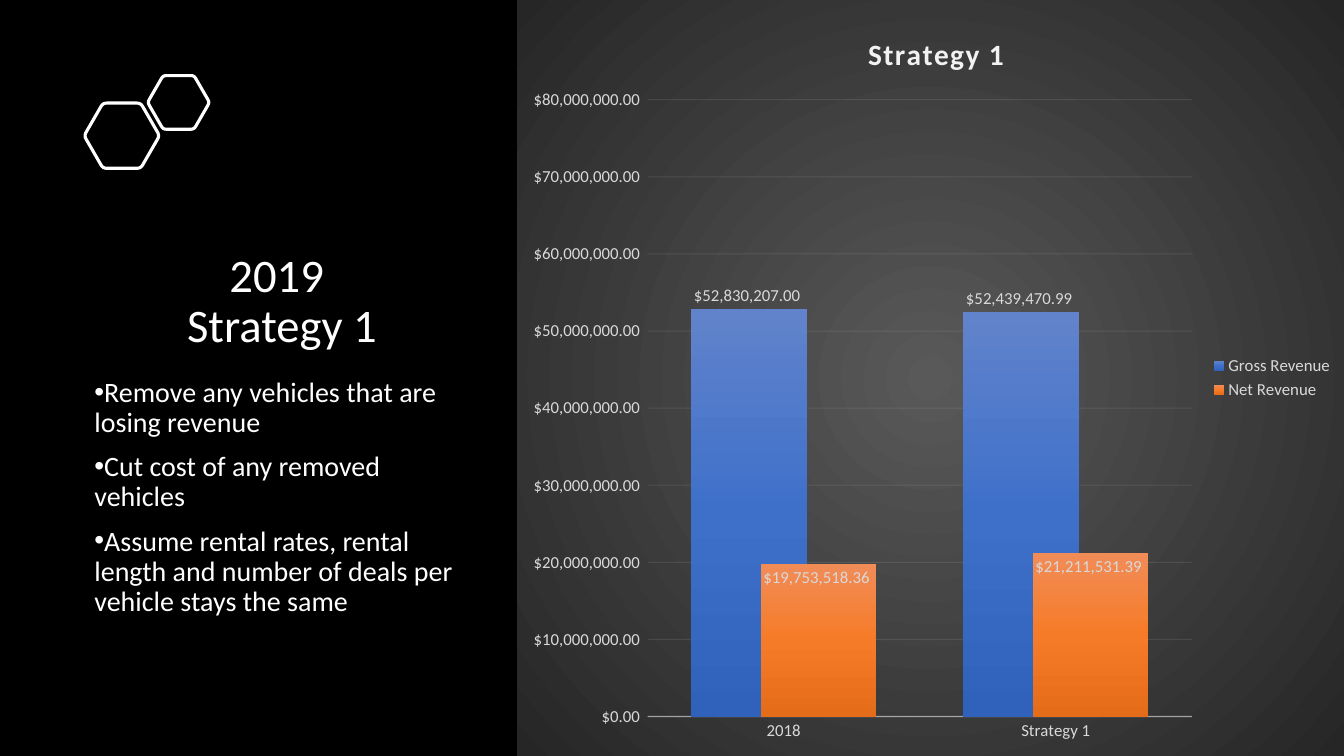
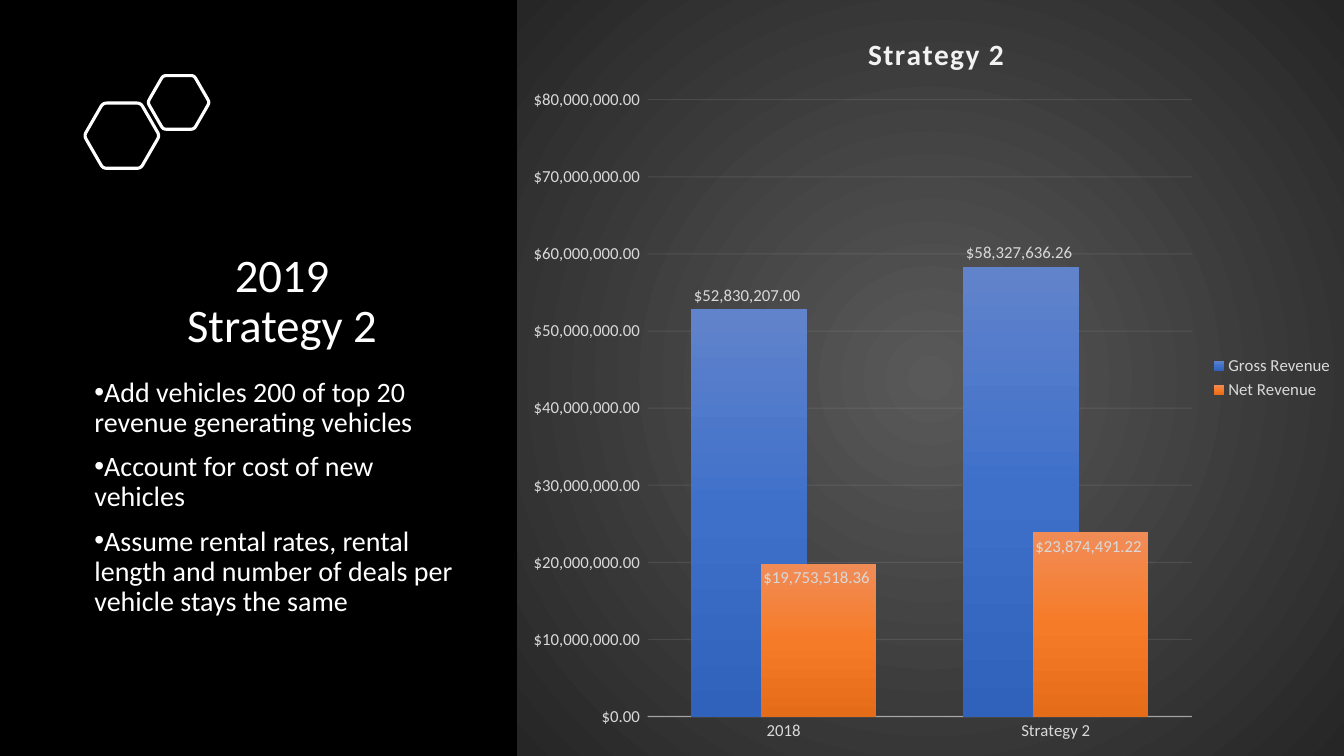
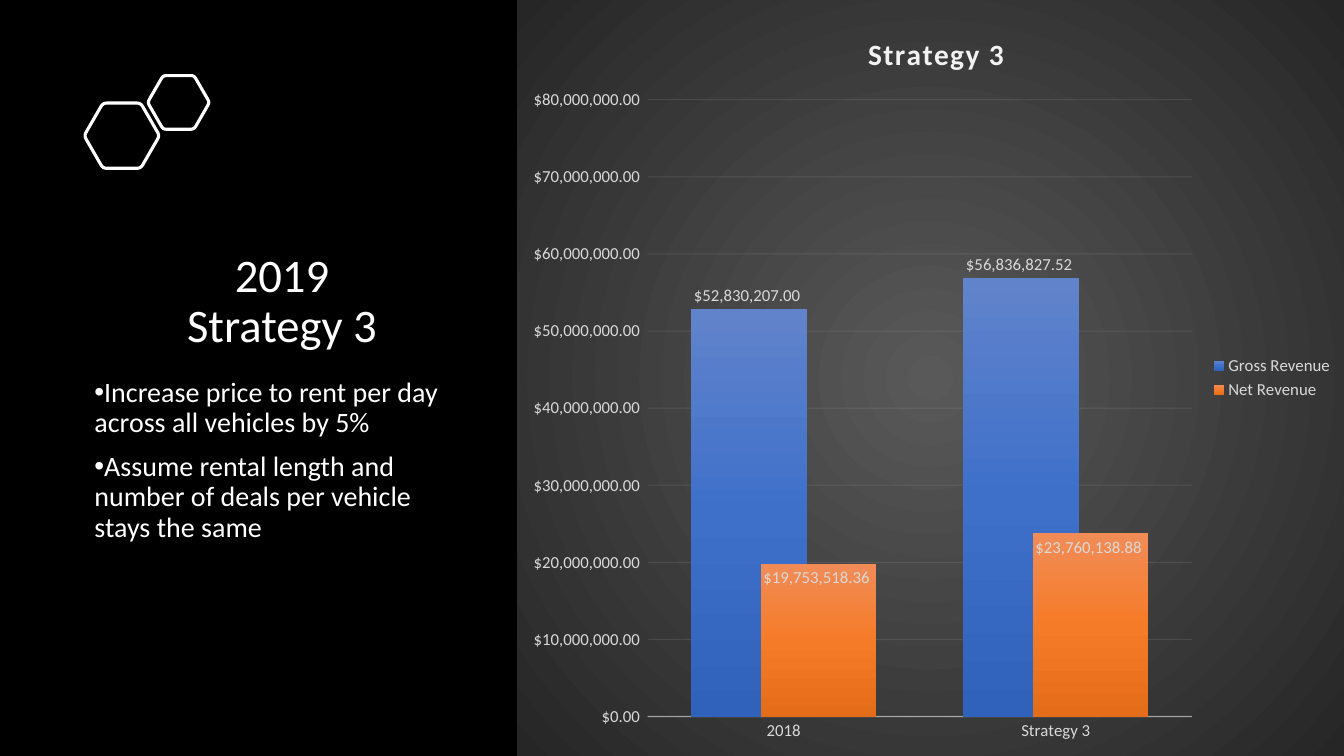
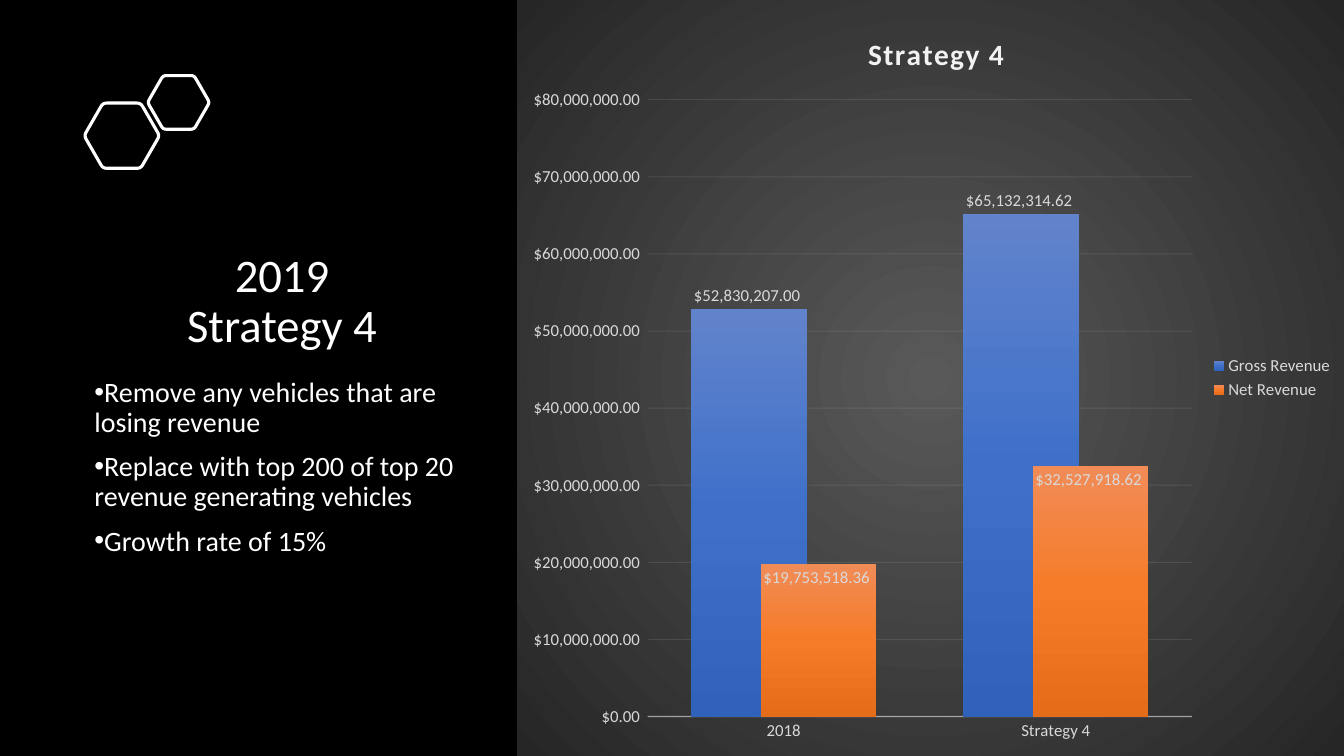
"""Build four strategy slides, each with a dark text panel and a revenue chart."""
from math import cos, pi, sin

from lxml import etree
from pptx import Presentation
from pptx.chart.data import CategoryChartData
from pptx.dml.color import RGBColor
from pptx.enum.chart import XL_CHART_TYPE, XL_LABEL_POSITION, XL_LEGEND_POSITION, XL_TICK_MARK
from pptx.enum.shapes import MSO_SHAPE
from pptx.enum.text import MSO_ANCHOR, PP_ALIGN
from pptx.oxml import parse_xml
from pptx.oxml.ns import nsdecls, qn
from pptx.util import Cm, Pt

RECTANGLE = MSO_SHAPE.RECTANGLE
CENTER = PP_ALIGN.CENTER
TOP, BOTTOM = MSO_ANCHOR.TOP, MSO_ANCHOR.BOTTOM
COLUMNS = XL_CHART_TYPE.COLUMN_CLUSTERED
NO_TICKS = XL_TICK_MARK.NONE
LEGEND_RIGHT = XL_LEGEND_POSITION.RIGHT
OUTSIDE_END, INSIDE_END = XL_LABEL_POSITION.OUTSIDE_END, XL_LABEL_POSITION.INSIDE_END

BLACK = RGBColor(0x00, 0x00, 0x00)
WHITE = RGBColor(0xFF, 0xFF, 0xFF)
PALE_GREY = RGBColor(0xF2, 0xF2, 0xF2)
LABEL_GREY = RGBColor(0xD9, 0xD9, 0xD9)
BACKDROP = [RGBColor(0x59, 0x59, 0x59), RGBColor(0x26, 0x26, 0x26)]
BLUES = [RGBColor(0x61, 0x83, 0xCB), RGBColor(0x3E, 0x70, 0xCA), RGBColor(0x30, 0x62, 0xBB)]
ORANGES = [RGBColor(0xF1, 0x8C, 0x57), RGBColor(0xF6, 0x7B, 0x28), RGBColor(0xE5, 0x6C, 0x19)]

FONT = "Calibri"
DOLLARS = '"$"#,##0.00_);[Red]\\("$"#,##0.00\\)'
LINEAR = '<a:lin ang="5400000" scaled="0"/>'
RADIAL = '<a:path path="circle"><a:fillToRect l="50000" t="50000" r="50000" b="50000"/></a:path>'

SLIDE_WIDTH, SLIDE_HEIGHT = Cm(33.87), Cm(19.05)
PANEL_WIDTH = Cm(13.03)
TEXT_LEFT, TEXT_WIDTH = Cm(2.13), Cm(9.96)
HEXAGONS = [(Cm(3.07), Cm(3.42), Cm(0.95)), (Cm(4.5), Cm(2.58), Cm(0.78))]
PLOT_LAYOUT = {"x": 0.158, "y": 0.132, "w": 0.658, "h": 0.816}
TITLE_LAYOUT = {"x": 0.418, "y": 0.038}

BASE_YEAR = "2018"
SERIES = [
    ("Gross Revenue", 52830207, BLUES, OUTSIDE_END),
    ("Net Revenue", 19753518.36, ORANGES, INSIDE_END),
]
SAME_RENTALS = "Assume rental rates, rental length and number of deals per vehicle stays the same"
REMOVE_LOSERS = "Remove any vehicles that are losing revenue"
STRATEGIES = [
    {
        "year": "2019 ",
        "name": "Strategy 1",
        "points": [REMOVE_LOSERS, "Cut cost of any removed vehicles", SAME_RENTALS],
        "revenues": [52439470.99, 21211531.39],
    },
    {
        "year": "2019",
        "name": "Strategy 2",
        "points": [
            "Add vehicles 200 of top 20 revenue generating vehicles",
            "Account for cost of new vehicles",
            SAME_RENTALS,
        ],
        "revenues": [58327636.26, 23874491.22],
    },
    {
        "year": "2019",
        "name": "Strategy 3",
        "points": [
            "Increase price to rent per day across all vehicles by 5%",
            "Assume rental length and number of deals per vehicle stays the same",
        ],
        "revenues": [56836827.52, 23760138.88],
    },
    {
        "year": "2019",
        "name": "Strategy 4",
        "points": [
            REMOVE_LOSERS,
            "Replace with top 200 of top 20 revenue generating vehicles",
            "Growth rate of 15%",
        ],
        "revenues": [65132314.62, 32527918.62],
    },
]


def style_font(font, size, color):
    font.name = FONT
    font.size = Pt(size)
    font.color.rgb = color


def add_panel(slide):
    panel = slide.shapes.add_shape(RECTANGLE, 0, 0, PANEL_WIDTH, SLIDE_HEIGHT)
    panel.shadow.inherit = False
    panel.fill.solid()
    panel.fill.fore_color.rgb = BLACK
    panel.line.fill.background()


def rounded_hexagon(center_x, center_y, radius, trim=0.1, steps=4):
    corners = [
        (center_x + radius * cos(k * pi / 3), center_y + radius * sin(k * pi / 3))
        for k in range(6)
    ]
    points = []
    for k, corner in enumerate(corners):
        before, after = corners[k - 1], corners[(k + 1) % 6]
        for step in range(steps + 1):
            t = step / steps
            from_side, to_side = trim * (1 - t) ** 2, trim * t ** 2
            points.append(tuple(
                round(c + from_side * (b - c) + to_side * (a - c))
                for b, c, a in zip(before, corner, after)
            ))
    return points


def add_hexagons(slide):
    group = slide.shapes.add_group_shape()
    for center_x, center_y, radius in HEXAGONS:
        points = rounded_hexagon(center_x, center_y, radius)
        builder = group.shapes.build_freeform(*points[0])
        builder.add_line_segments(points[1:], close=True)
        hexagon = builder.convert_to_shape()
        hexagon.shadow.inherit = False
        hexagon.fill.background()
        hexagon.line.color.rgb = WHITE
        hexagon.line.width = Pt(2.25)


def add_text_frame(slide, top, height, anchor):
    box = slide.shapes.add_textbox(TEXT_LEFT, top, TEXT_WIDTH, height)
    box.text_frame.word_wrap = True
    box.text_frame.vertical_anchor = anchor
    return box.text_frame


def add_run(paragraph, text, size):
    run = paragraph.add_run()
    run.text = text
    style_font(run.font, size, WHITE)


def add_title(slide, year, name):
    paragraph = add_text_frame(slide, Cm(4.95), Cm(4.06), BOTTOM).paragraphs[0]
    paragraph.alignment = CENTER
    paragraph.line_spacing = 0.9
    add_run(paragraph, year, 33.3)
    paragraph.add_line_break()
    add_run(paragraph, name, 33.3)


def add_points(slide, points):
    frame = add_text_frame(slide, Cm(9.4), Cm(7.75), TOP)
    for index, point in enumerate(points):
        paragraph = frame.add_paragraph() if index else frame.paragraphs[0]
        paragraph.line_spacing = 0.9
        paragraph.space_before = Pt(10)
        properties = paragraph._p.get_or_add_pPr()
        properties.set("marL", "0")
        properties.set("indent", str(-Cm(0.64)))
        etree.SubElement(properties, qn("a:buFont"), typeface="Arial")
        etree.SubElement(properties, qn("a:buChar"), char="•")
        add_run(paragraph, point, 20)


def gradient(colors, direction):
    stops = "".join(
        f'<a:gs pos="{100000 * k // (len(colors) - 1)}"><a:srgbClr val="{color}"/></a:gs>'
        for k, color in enumerate(colors)
    )
    return parse_xml(
        f'<a:gradFill {nsdecls("a")} rotWithShape="1"><a:gsLst>{stops}</a:gsLst>{direction}</a:gradFill>'
    )


def manual_layout(fractions, target=""):
    modes = "".join(f'<c:{axis}Mode val="edge"/>' for axis in "xy")
    values = "".join(f'<c:{key} val="{value}"/>' for key, value in fractions.items())
    return parse_xml(
        f'<c:layout {nsdecls("c")}><c:manualLayout>{target}{modes}{values}</c:manualLayout></c:layout>'
    )


def style_line(line, width, opacity):
    line.color.rgb = PALE_GREY
    line.width = Pt(width)
    color = line._get_or_add_ln().find(".//" + qn("a:srgbClr"))
    etree.SubElement(color, qn("a:alpha"), val=str(opacity * 1000))


def style_axes(chart):
    for axis in (chart.category_axis, chart.value_axis):
        axis.major_tick_mark = axis.minor_tick_mark = NO_TICKS
        style_font(axis.tick_labels.font, 12, LABEL_GREY)
    style_line(chart.category_axis.format.line, 1, 54)
    values = chart.value_axis
    values.minimum_scale, values.maximum_scale = 0, 80000000
    values.major_unit = 10000000
    values.format.line.fill.background()
    values.tick_labels.number_format = DOLLARS
    values.tick_labels.number_format_is_linked = False
    style_line(values.major_gridlines.format.line, 0.75, 10)


def style_series(plot):
    plot.gap_width, plot.overlap = 75, 40
    plot.vary_by_categories = False
    for series, (_, _, colors, position) in zip(plot.series, SERIES):
        series.invert_if_negative = False
        series._element.get_or_add_spPr().append(gradient(colors, LINEAR))
        labels = series.data_labels
        labels.show_value = True
        labels.position = position
        labels.number_format = DOLLARS
        labels.number_format_is_linked = False
        style_font(labels.font, 12, LABEL_GREY)


def style_chart_title(chart, name):
    title = chart.chart_title
    run = title.text_frame.paragraphs[0].add_run()
    run.text = name
    style_font(run.font, 21, PALE_GREY)
    run.font.bold = True
    run._r.get_or_add_rPr().set("spc", "100")
    element = chart.element.find(".//" + qn("c:title"))
    for layout in element.findall(qn("c:layout")):
        element.remove(layout)
    element.find(qn("c:tx")).addnext(manual_layout(TITLE_LAYOUT))


def style_chart_area(chart):
    plot_area = chart.element.find(".//" + qn("c:plotArea"))
    for layout in plot_area.findall(qn("c:layout")):
        plot_area.remove(layout)
    plot_area.insert(0, manual_layout(PLOT_LAYOUT, '<c:layoutTarget val="inner"/>'))
    area = parse_xml(f'<c:spPr {nsdecls("c", "a")}><a:ln><a:noFill/></a:ln></c:spPr>')
    area.insert(0, gradient(BACKDROP, RADIAL))
    chart.element.find(qn("c:chart")).addnext(area)


def add_revenue_chart(slide, name, revenues):
    data = CategoryChartData(number_format=DOLLARS)
    data.categories = [BASE_YEAR, name]
    for (label, base, _, _), revenue in zip(SERIES, revenues):
        data.add_series(label, [base, revenue])
    chart = slide.shapes.add_chart(
        COLUMNS, PANEL_WIDTH, 0, SLIDE_WIDTH - PANEL_WIDTH, SLIDE_HEIGHT, data
    ).chart
    style_font(chart.font, 12, LABEL_GREY)
    chart.has_legend = True
    chart.legend.position = LEGEND_RIGHT
    chart.legend.include_in_layout = False
    style_font(chart.legend.font, 12, LABEL_GREY)
    style_axes(chart)
    style_series(chart.plots[0])
    style_chart_title(chart, name)
    style_chart_area(chart)


def main():
    presentation = Presentation()
    presentation.slide_width, presentation.slide_height = SLIDE_WIDTH, SLIDE_HEIGHT
    for strategy in STRATEGIES:
        slide = presentation.slides.add_slide(presentation.slide_layouts[6])
        add_panel(slide)
        add_title(slide, strategy["year"], strategy["name"])
        add_hexagons(slide)
        add_points(slide, strategy["points"])
        add_revenue_chart(slide, strategy["name"], strategy["revenues"])
    presentation.save("out.pptx")


if __name__ == "__main__":
    main()
